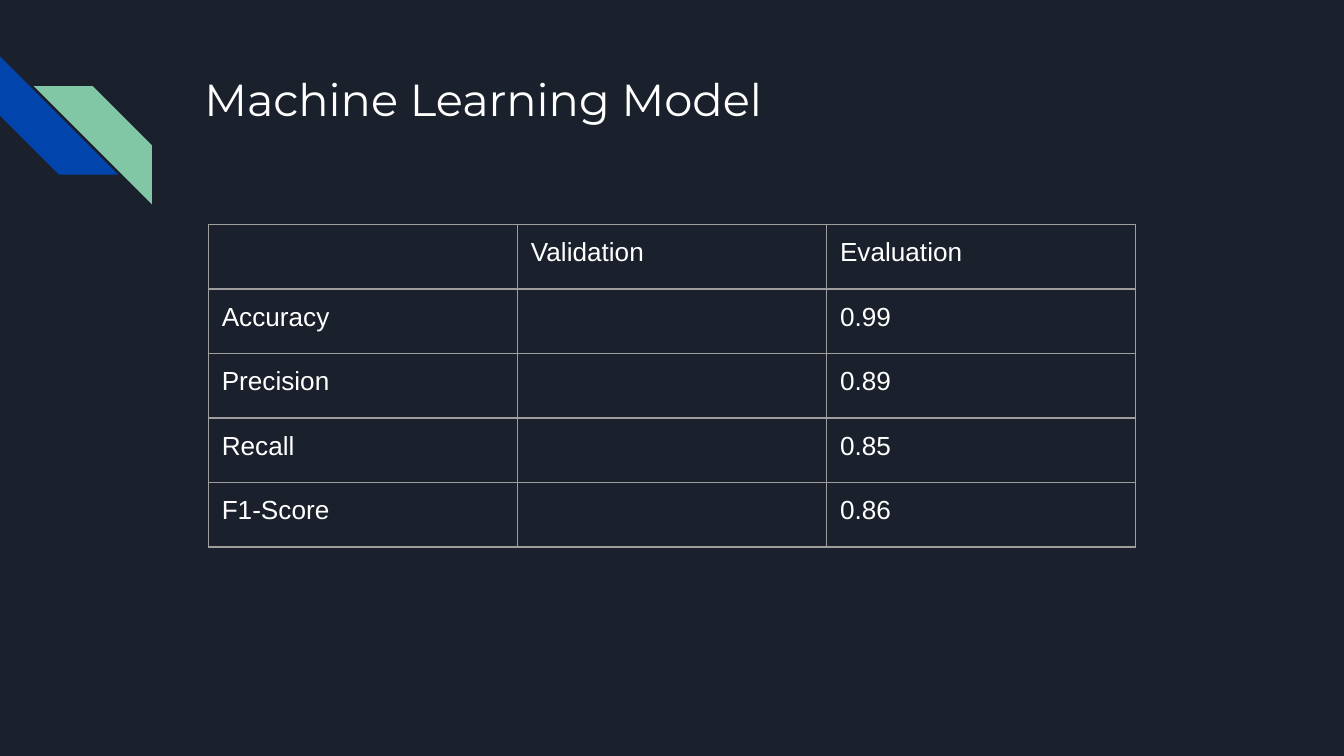
from lxml import etree
from pptx import Presentation
from pptx.dml.color import RGBColor
from pptx.enum.shapes import MSO_SHAPE
from pptx.enum.text import MSO_ANCHOR, PP_ALIGN
from pptx.oxml.ns import qn
from pptx.util import Inches, Pt

STRIPE = MSO_SHAPE.DIAGONAL_STRIPE
TOP = MSO_ANCHOR.TOP
LEFT = PP_ALIGN.LEFT

COLORS = {
    "background": "1B212C",
    "blue": "0145AC",
    "green": "82C7A5",
    "text": "FFFFFF",
    "border": "9E9E9E",
}
SCORES = [
    ("", "Validation", "Evaluation"),
    ("Accuracy", "", "0.99"),
    ("Precision", "", "0.89"),
    ("Recall", "", "0.85"),
    ("F1-Score", "", "0.86"),
]
MARGIN = Inches(0.1)


def write(frame, text, font, size):
    paragraph = frame.paragraphs[0]
    paragraph.alignment = LEFT
    span = paragraph.add_run()
    span.text = text
    span.font.name = font
    span.font.size = Pt(size)
    span.font.bold = False
    span.font.color.rgb = RGBColor.from_string(COLORS["text"])


def add_borders(cell):
    properties = cell._tc.get_or_add_tcPr()
    for side in ("lnL", "lnR", "lnT", "lnB"):
        line = etree.SubElement(properties, qn(f"a:{side}"), w=str(Pt(0.75)))
        fill = etree.SubElement(line, qn("a:solidFill"))
        etree.SubElement(fill, qn("a:srgbClr"), val=COLORS["border"])


deck = Presentation()
deck.slide_width = Inches(10)
deck.slide_height = Inches(10) * 9 // 16
page = deck.slides.add_slide(deck.slide_layouts[5])
page.background.fill.solid()
page.background.fill.fore_color.rgb = RGBColor.from_string(COLORS["background"])

# Corner stripes
for left, top, color, rotation, flipped in [
    (0, 0.42, "blue", 270, False),
    (0.25, 0.64, "green", 0, True),
]:
    stripe = page.shapes.add_shape(
        STRIPE, Inches(left), Inches(top), Inches(0.88), Inches(0.88)
    )
    stripe.rotation = rotation
    if flipped:
        stripe._element.spPr.xfrm.set("flipH", "1")
    stripe.shadow.inherit = False
    stripe.fill.solid()
    stripe.fill.fore_color.rgb = RGBColor.from_string(COLORS[color])
    stripe.line.fill.background()

# Title
title = page.shapes.title
title.left, title.top = Inches(1.42), Inches(0.43)
title.width, title.height = Inches(7.7), Inches(1)
frame = title.text_frame
frame.word_wrap = True
frame.vertical_anchor = TOP
frame.margin_left = frame.margin_right = MARGIN
frame.margin_top = frame.margin_bottom = MARGIN
write(frame, "Machine Learning Model", "Montserrat", 24)

# Score table
table = page.shapes.add_table(
    len(SCORES), len(SCORES[0]), Inches(1.55), Inches(1.67), Inches(6.9), Inches(2.4)
).table
table.first_row = False
table.horz_banding = False
for column in table.columns:
    column.width = Inches(2.3)
for row, texts in zip(table.rows, SCORES):
    row.height = Inches(0.48)
    for cell, text in zip(row.cells, texts):
        add_borders(cell)
        cell.fill.background()
        cell.vertical_anchor = TOP
        if text:
            cell.margin_left = cell.margin_right = MARGIN
            cell.margin_top = cell.margin_bottom = MARGIN
            write(cell.text_frame, text, "Arial", 14)

deck.save("out.pptx")
